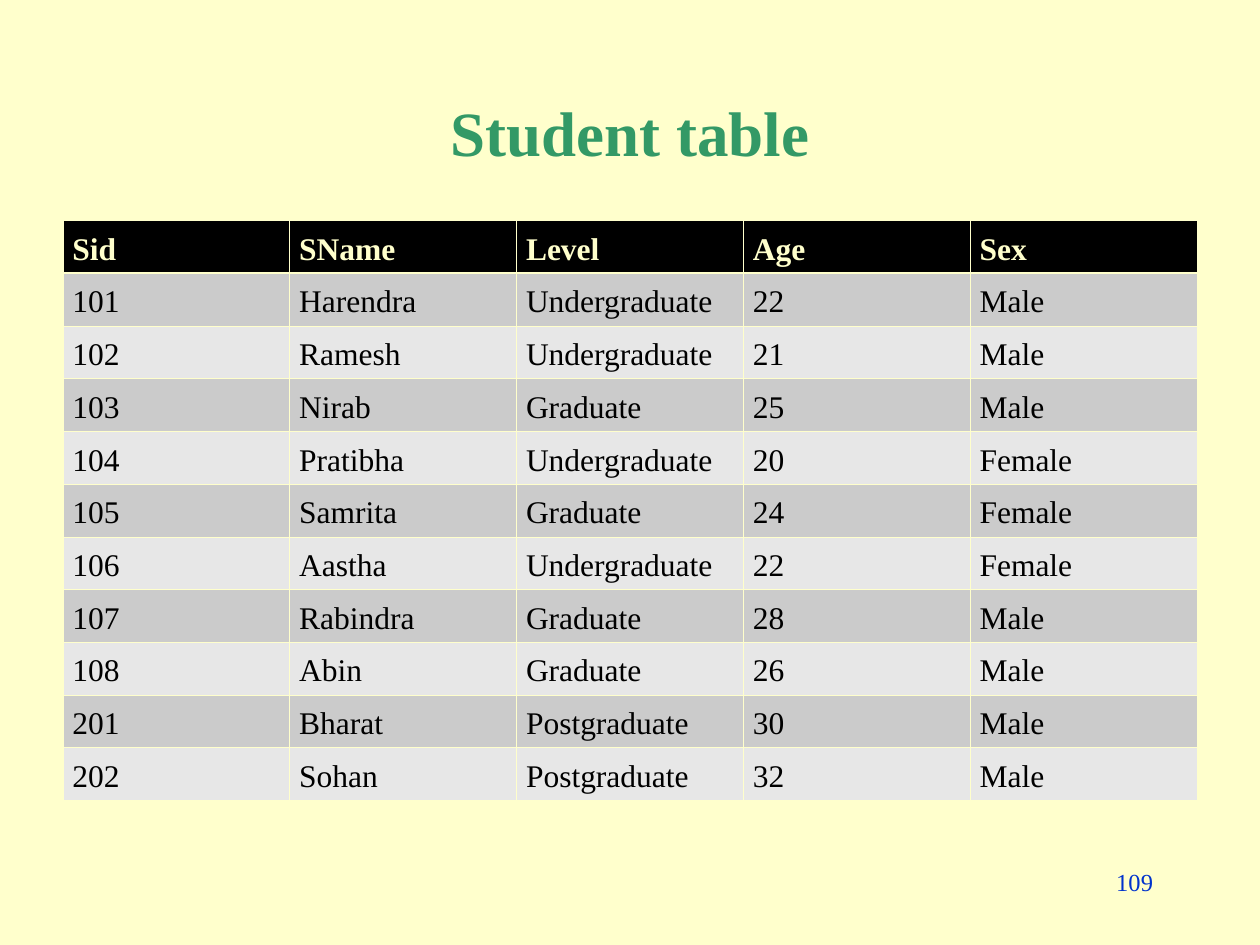
from dataclasses import dataclass

import lxml.etree
import pptx
import pptx.dml.color
import pptx.enum.text
import pptx.oxml.ns
import pptx.util

Pt = pptx.util.Pt
ALIGN = pptx.enum.text.PP_ALIGN
ANCHOR = pptx.enum.text.MSO_ANCHOR


@dataclass(frozen=True)
class Theme:
    font: str = "Times New Roman"
    background: str = "FFFFCC"
    title: str = "339966"
    header: str = "000000"
    text: str = "000000"
    bands: tuple = ("CBCBCB", "E7E7E7")
    number: str = "0033CC"
    title_size: float = 36
    table_size: float = 18
    number_size: float = 14
    thin_line: float = 0.45
    header_line: float = 1.47


THEME = Theme()

STUDENTS = [
    ("Sid", "SName", "Level", "Age", "Sex"),
    ("101", "Harendra", "Undergraduate", "22", "Male"),
    ("102", "Ramesh", "Undergraduate", "21", "Male"),
    ("103", "Nirab", "Graduate", "25", "Male"),
    ("104", "Pratibha", "Undergraduate", "20", "Female"),
    ("105", "Samrita", "Graduate", "24", "Female"),
    ("106", "Aastha", "Undergraduate", "22", "Female"),
    ("107", "Rabindra", "Graduate", "28", "Male"),
    ("108", "Abin", "Graduate", "26", "Male"),
    ("201", "Bharat", "Postgraduate", "30", "Male"),
    ("202", "Sohan", "Postgraduate", "32", "Male"),
]


def rgb(value):
    return pptx.dml.color.RGBColor.from_string(value)


def write(frame, text, size, color, bold=False, align=ALIGN.LEFT):
    """Fill a text frame with one formatted paragraph and return it."""
    frame.text = text
    paragraph = frame.paragraphs[0]
    paragraph.alignment = align
    font = paragraph.runs[0].font
    font.name, font.size, font.bold = THEME.font, Pt(size), bold
    font.color.rgb = rgb(color)
    return paragraph


def add_title(page, text, left, top, width, height):
    title = page.shapes.title
    title.left, title.top, title.width, title.height = map(Pt, (left, top, width, height))
    title.text_frame.vertical_anchor = ANCHOR.MIDDLE
    write(title.text_frame, text, THEME.title_size, THEME.title, True, ALIGN.CENTER)


def draw_borders(cell, top, bottom):
    """Draw the cell's four edges; call before setting the cell's fill."""
    properties = cell._tc.get_or_add_tcPr()
    qn = pptx.oxml.ns.qn
    widths = {"L": THEME.thin_line, "R": THEME.thin_line, "T": top, "B": bottom}
    for side, width in widths.items():
        line = lxml.etree.SubElement(properties, qn(f"a:ln{side}"), w=str(int(Pt(width))))
        fill = lxml.etree.SubElement(line, qn("a:solidFill"))
        lxml.etree.SubElement(fill, qn("a:srgbClr"), val=THEME.background)


def format_cell(cell, text, row):
    is_header = row == 0
    cell.margin_left = cell.margin_right = Pt(5.4)
    cell.margin_top = cell.margin_bottom = Pt(3.6)
    draw_borders(
        cell,
        top=THEME.header_line if row == 1 else THEME.thin_line,
        bottom=THEME.header_line if is_header else THEME.thin_line,
    )
    cell.fill.solid()
    cell.fill.fore_color.rgb = rgb(THEME.header if is_header else THEME.bands[(row - 1) % 2])
    color = THEME.background if is_header else THEME.text
    paragraph = write(cell.text_frame, text, THEME.table_size, color, is_header)
    paragraph.line_spacing = 1.15


def add_student_table(page, records, left, top, width, height):
    rows, columns = len(records), len(records[0])
    table = page.shapes.add_table(rows, columns, *map(Pt, (left, top, width, height))).table
    for column in table.columns:
        column.width = Pt(width / columns)
    for row, record in enumerate(records):
        table.rows[row].height = Pt(height / rows)
        for column, text in enumerate(record):
            format_cell(table.cell(row, column), text, row)


def add_page_number(page, text, left, top, width, height):
    box = page.shapes.add_textbox(*map(Pt, (left, top, width, height)))
    box.text_frame.word_wrap = True
    write(box.text_frame, text, THEME.number_size, THEME.number, align=ALIGN.RIGHT)


def main():
    deck = pptx.Presentation()
    deck.slide_width, deck.slide_height = Pt(720), Pt(540)
    page = deck.slides.add_slide(deck.slide_layouts[5])
    page.background.fill.solid()
    page.background.fill.fore_color.rgb = rgb(THEME.background)

    add_title(page, "Student table", 54, 48, 612, 54)
    add_student_table(page, STUDENTS, 36, 126, 648, 321)
    add_page_number(page, "109", 516, 492, 150, 36)
    deck.save("out.pptx")


if __name__ == "__main__":
    main()
